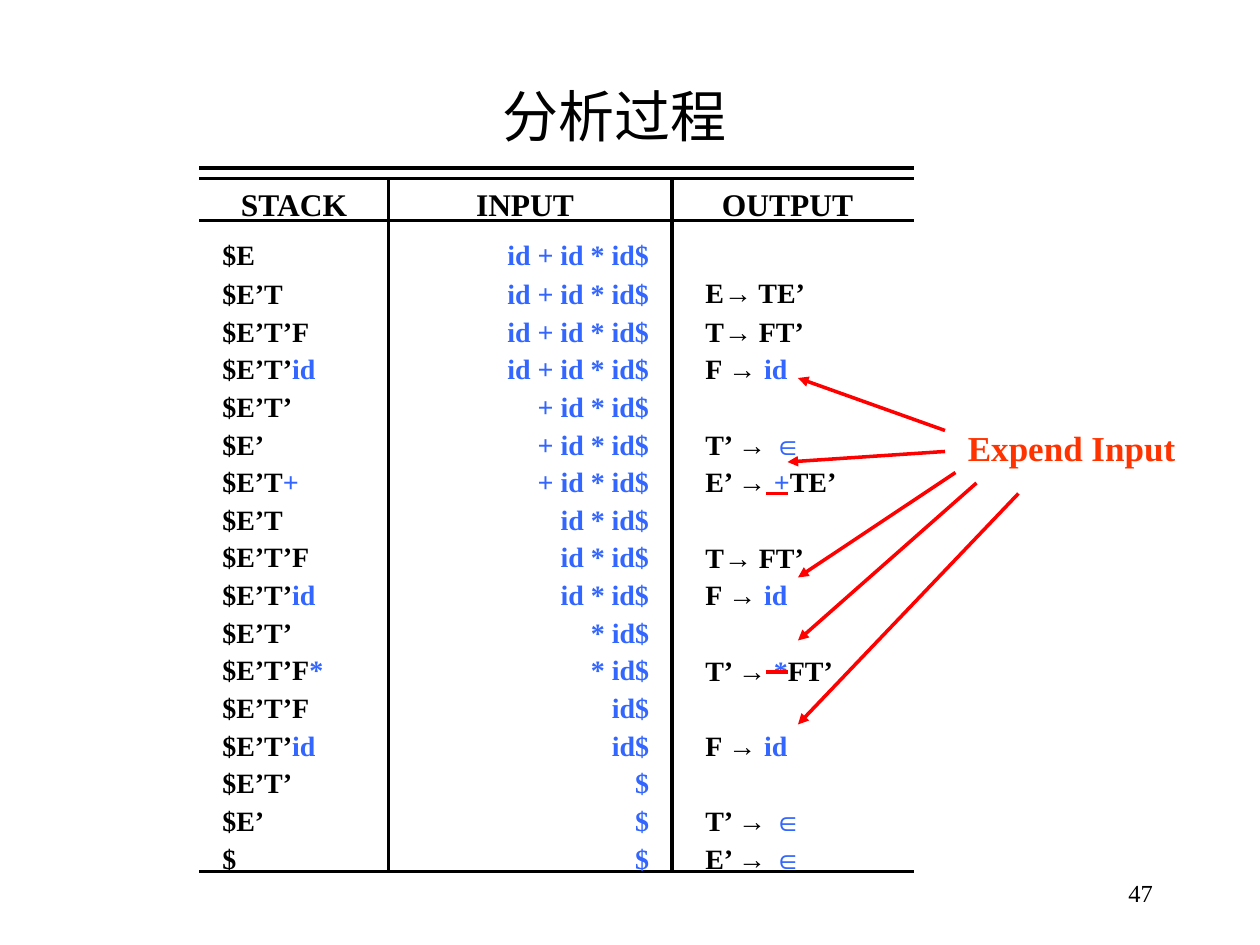
from dataclasses import dataclass

import pptx
import pptx.dml.color
import pptx.enum.shapes
import pptx.enum.text
import pptx.oxml.ns
import pptx.util
from lxml import etree

ALIGN = pptx.enum.text.PP_ALIGN
ANCHOR = pptx.enum.text.MSO_ANCHOR


@dataclass(frozen=True)
class Theme:
    ink: str = "000000"
    accent: str = "3366FF"
    arrow: str = "FF0000"
    label: str = "FF3300"
    serif: str = "Times New Roman"
    sans: str = "Arial"
    title: float = 32
    note: float = 20
    header: float = 18
    body: float = 16
    number: float = 14
    line: float = 2
    gap: float = 10
    pitch: float = 21.5


@dataclass(frozen=True)
class Box:
    col: float
    row: float
    cols: float
    rows: float


@dataclass(frozen=True)
class Line:
    x1: float
    y1: float
    x2: float
    y2: float
    color: str
    arrow: bool = False


@dataclass(frozen=True)
class Column:
    header: str
    header_col: float
    box: Box
    align: ALIGN
    rows: tuple[str, ...]


T = Theme()
GRID_COLS, GRID_ROWS = 120, 90
TABLE_LEFT, TABLE_RIGHT, TABLE_TOP, TABLE_BOTTOM = 19, 87, 17, 83
BODY_ROW, BODY_ROWS = 22, 61.8
RUN_BREAK, ACCENT_MARK = "|", "~"

COLUMNS = (
    Column("STACK", 20, Box(20, BODY_ROW, 15, BODY_ROWS), ALIGN.LEFT, (
        "$E", "$E’T", "$E’T’F", "$E’T’|~id", "$E’T’", "$E’", "$E’T|~+", "$E’T", "$E’T’F",
        "$E’T’|~id", "$E’T’", "$E’T’F|~*", "$E’T’F", "$E’T’|~id", "$E’T’", "$E’", "$")),
    Column("INPUT", 42, Box(39, BODY_ROW, 24, BODY_ROWS), ALIGN.RIGHT, (
        *["~id + id * id$"] * 4, *["~+ id * id$"] * 3, *["~id * id$"] * 3,
        *["~* id$"] * 2, *["~id$"] * 2, *["~$"] * 3)),
    Column("OUTPUT", 67, Box(66, BODY_ROW, 20, BODY_ROWS), ALIGN.LEFT, (
        "", "E|→| TE’", "T|→| FT’", "F |→ |~id", "", "T’ |→ |~∈", "E’ |→ |~+|TE’", "",
        "T|→| FT’", "F |→ |~id", "", "T’ |→ |~*|FT’", "", "F |→ |~id", "",
        "T’ |→ |~∈", "E’ |→ |~∈")),
)

RULES = (
    *(Line(TABLE_LEFT, y, TABLE_RIGHT, y, T.ink) for y in (16, TABLE_TOP, 21, TABLE_BOTTOM)),
    *(Line(x, TABLE_TOP, x, TABLE_BOTTOM, T.ink) for x in (64, 37)),
)
MARKS = (
    Line(93, 46, 76, 61, T.arrow, True),
    Line(97, 47, 76, 69, T.arrow, True),
    Line(90, 41, 76, 36, T.arrow, True),
    Line(90, 43, 75, 44, T.arrow, True),
    Line(91, 45, 76, 55, T.arrow, True),
    Line(73, 47, 75, 47, T.arrow),
    Line(73, 64, 75, 64, T.arrow),
)

prs = pptx.Presentation()
prs.slide_width, prs.slide_height = pptx.util.Inches(10), pptx.util.Inches(7.5)


def gx(col: float) -> int:
    return round(prs.slide_width * col / GRID_COLS)


def gy(row: float) -> int:
    return round(prs.slide_height * row / GRID_ROWS)


def write(p, text: str, *, size: float, color: str = T.ink, font: str = T.serif,
          bold: bool = True, align: ALIGN = ALIGN.LEFT) -> None:
    p.alignment = align
    for part in text.split(RUN_BREAK):
        r = p.add_run()
        r.text = part.lstrip(ACCENT_MARK)
        r.font.size = pptx.util.Pt(size)
        r.font.bold = bold
        r.font.name = T.sans if r.text.strip() in ("→", "∈") else font
        rgb = T.accent if part.startswith(ACCENT_MARK) else color
        r.font.color.rgb = pptx.dml.color.RGBColor.from_string(rgb)


def place(sp, box: Box, anchor: ANCHOR = ANCHOR.TOP):
    sp.left, sp.top = gx(box.col), gy(box.row)
    sp.width, sp.height = gx(box.cols), gy(box.rows)
    tf = sp.text_frame
    tf.word_wrap = True
    tf.auto_size = pptx.enum.text.MSO_AUTO_SIZE.NONE
    tf.vertical_anchor = anchor
    return tf


def add_text(s, box: Box, text: str, anchor: ANCHOR = ANCHOR.TOP, **style) -> None:
    tf = place(s.shapes.add_textbox(0, 0, 0, 0), box, anchor)
    write(tf.paragraphs[0], text, **style)


def add_line(s, line: Line) -> None:
    sp = s.shapes.add_connector(pptx.enum.shapes.MSO_CONNECTOR.STRAIGHT,
                                gx(line.x1), gy(line.y1), gx(line.x2), gy(line.y2))
    sp.line.width = pptx.util.Pt(T.line)
    sp.line.color.rgb = pptx.dml.color.RGBColor.from_string(line.color)
    if line.arrow:
        ln = sp._element.spPr.find(pptx.oxml.ns.qn("a:ln"))
        etree.SubElement(ln, pptx.oxml.ns.qn("a:tailEnd"), type="triangle")
    etree.SubElement(sp._element.spPr, pptx.oxml.ns.qn("a:effectLst"))


def add_column(s, column: Column) -> None:
    tf = place(s.shapes.add_textbox(0, 0, 0, 0), column.box)
    filled = [i for i, text in enumerate(column.rows) if text]
    tf.margin_top = pptx.util.Inches(0.05 + 0.3 * filled[0])
    write(tf.paragraphs[0], column.rows[filled[0]], size=T.body, align=column.align)
    for before, i in zip(filled, filled[1:]):
        p = tf.add_paragraph()
        p.line_spacing = 0.6
        p.space_before = pptx.util.Pt(T.gap + T.pitch * (i - before - 1))
        write(p, column.rows[i], size=T.body, align=column.align)
    add_text(s, Box(column.header_col, TABLE_TOP, 16, 4.8), column.header,
             size=T.header, align=ALIGN.CENTER)


def main() -> None:
    s = prs.slides.add_slide(prs.slide_layouts[5])
    tf = place(s.shapes.title, Box(9, 8, 99, 6), ANCHOR.MIDDLE)
    write(tf.paragraphs[0], "分析过程", size=T.title, font=T.sans, bold=False, align=ALIGN.CENTER)
    add_text(s, Box(86, 82, 25, 6), "47", ANCHOR.MIDDLE,
             size=T.number, bold=False, align=ALIGN.RIGHT)
    add_text(s, Box(91, 40, 25, 5.2), "Expend Input", size=T.note, color=T.label)
    for rule in RULES:
        add_line(s, rule)
    for column in COLUMNS:
        add_column(s, column)
    for mark in MARKS:
        add_line(s, mark)
    prs.save("out.pptx")


if __name__ == "__main__":
    main()
